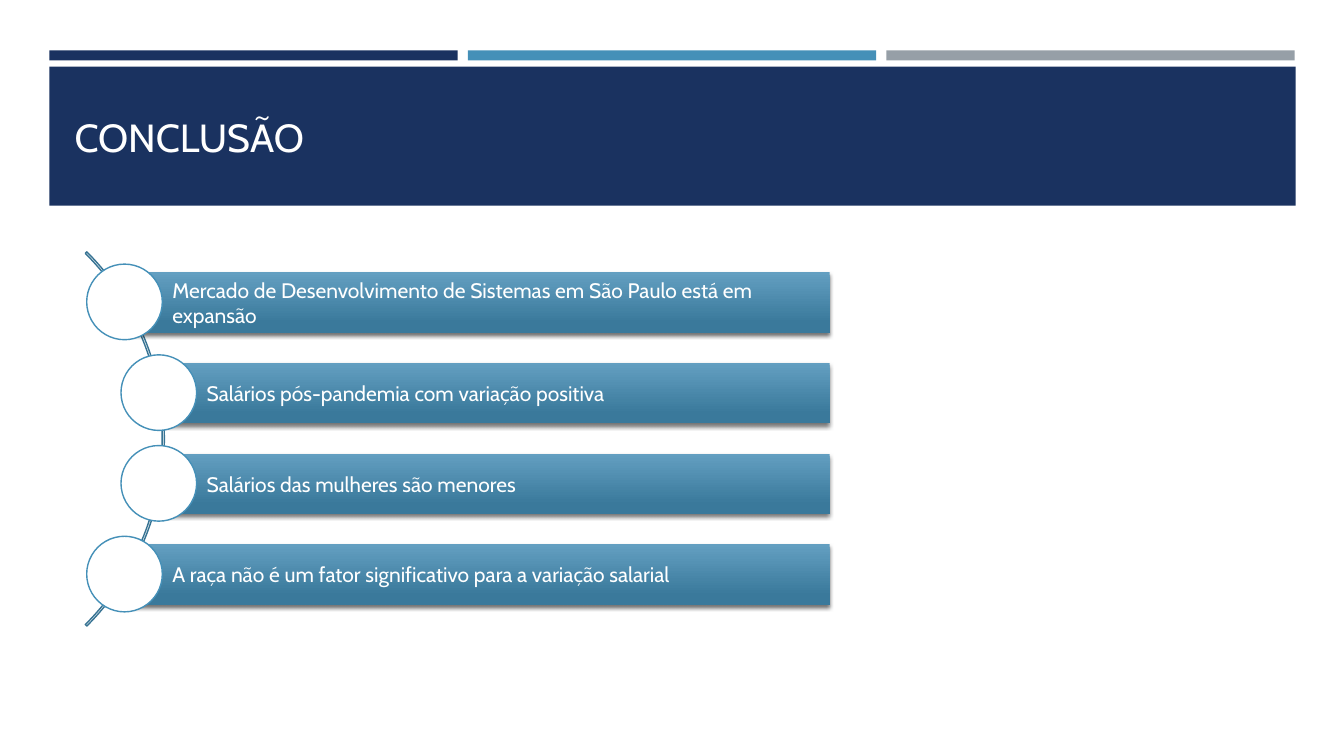
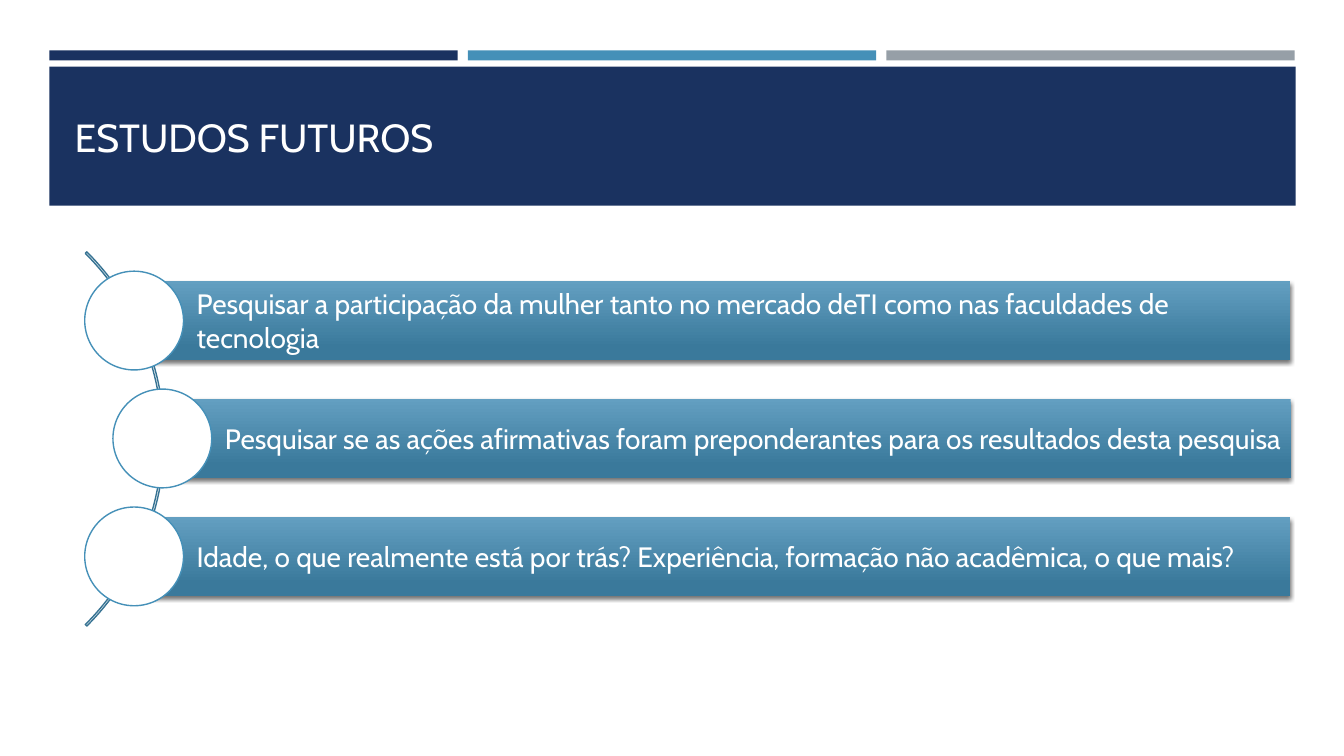
from lxml import etree
from pptx import Presentation, util as u
from pptx.dml.color import RGBColor
from pptx.enum import shapes, text
from pptx.oxml.ns import qn

PX = 9144  # 100 px to the inch
NAVY, BLUE, GREY, WHITE = "1A3260", "4590B8", "969FA7", "FFFFFF"
ARC_LINE, BAR_TOP, BAR_BOTTOM = "377393", "639FC1", "3A799B"
MIDDLE_Y = 435  # vertical centre of the arc and of each list

TITLE_FONT = {"name": "Cabin", "size": u.Pt(28), "bold": False}
TITLE_FRAME = {"vertical_anchor": text.MSO_ANCHOR.BOTTOM,
               "auto_size": text.MSO_AUTO_SIZE.NONE, "word_wrap": True}
SHADOW = {"blurRad": u.Pt(3), "dist": u.Pt(2), "dir": 90 * 60000,
          "algn": "ctr", "rotWithShape": 0}

SLIDES = [
    {"title": "CONCLUSÃO", "bar_height": 60, "right": 823, "size": 15, "margin": 4,
     "items": [
         (123, "Mercado de Desenvolvimento de Sistemas em São Paulo está em expansão"),
         (157, "Salários pós-pandemia com variação positiva"),
         (157, "Salários das mulheres são menores"),
         (123, "A raça não é um fator significativo para a variação salarial")]},
    {"title": "ESTUDOS FUTUROS", "bar_height": 78, "right": 1280, "size": 20, "margin": 6,
     "items": [
         (133, "Pesquisar a participação da mulher tanto no mercado deTI "
               "como nas faculdades de tecnologia"),
         (161, "Pesquisar se as ações afirmativas foram preponderantes "
               "para os resultados desta pesquisa"),
         (133, "Idade, o que realmente está por trás? Experiência, "
               "formação não acadêmica, o que mais?")]},
]


def color(hex_code):
    return RGBColor.from_string(hex_code)


def add_shape(page, kind, box, fill=None, line=None):
    """Add a shadowless preset shape; box is left, top, width, height in px."""
    shape = page.shapes.add_shape(kind, *(round(side) * PX for side in box))
    shape.shadow.inherit = False
    if fill:
        shape.fill.solid()
        shape.fill.fore_color.rgb = color(fill)
    else:
        shape.fill.background()
    if line:
        shape.line.color.rgb = color(line)
        shape.line.width = u.Pt(1)
    else:
        shape.line.fill.background()
    return shape


deck = Presentation()
deck.slide_width, deck.slide_height = 1333 * PX, 750 * PX
layout = deck.slide_layouts.get_by_name("Title Only")
pages = [deck.slides.add_slide(layout) for _ in SLIDES]
RECT, OVAL, ARC = (shapes.MSO_SHAPE.RECTANGLE, shapes.MSO_SHAPE.OVAL,
                   shapes.MSO_SHAPE.BLOCK_ARC)

# Bands and title position belong to the layout
bands = [((49 + 415 * i, 50, 405, 10), fill) for i, fill in enumerate((NAVY, BLUE, GREY))]
bands.append(((49, 66, 1236, 138), NAVY))
for position, (box, fill) in enumerate(bands, start=2):
    band = add_shape(pages[0], RECT, box, fill)
    layout.shapes.element.insert(position, band.element)
    band.element.nvSpPr.cNvPr.set("id", str(100 + position))

layout_title = layout.placeholders[0]
for side, length in {"left": 64, "top": 80, "width": 1206, "height": 84}.items():
    setattr(layout_title, side, length * PX)

for page, content in zip(pages, SLIDES):
    title = page.shapes.title
    title.text = content["title"]
    for name, value in TITLE_FRAME.items():
        setattr(title.text_frame, name, value)
    para = title.text_frame.paragraphs[0]
    para.alignment = text.PP_ALIGN.LEFT
    span = para.runs[0]
    for name, value in TITLE_FONT.items():
        setattr(span.font, name, value)
    span.font.color.rgb = color(WHITE)

    arc = add_shape(page, ARC, (-362, 173, 525, 525), line=ARC_LINE)
    for i, value in enumerate((189, 27, 0.004)):
        arc.adjustments[i] = value

    height, margin = content["bar_height"], content["margin"]
    pitch, diameter = 1.5 * height, 1.25 * height
    first_y = MIDDLE_Y - pitch * (len(content["items"]) - 1) / 2
    for i, (left, wording) in enumerate(content["items"]):
        center_y = first_y + i * pitch
        bar = add_shape(page, RECT,
                        (left, center_y - height / 2, content["right"] - left, height))
        bar.fill.gradient()
        bar.fill.gradient_angle = 270
        for stop, position, shade in zip(bar.fill.gradient_stops, (0, 0.84),
                                         (BAR_TOP, BAR_BOTTOM)):
            stop.position = position
            stop.color.rgb = color(shade)
        effects = bar.element.spPr.find(qn("a:effectLst"))
        shadow = etree.SubElement(effects, qn("a:outerShdw"),
                                  {name: str(value) for name, value in SHADOW.items()})
        black = etree.SubElement(shadow, qn("a:srgbClr"), val="000000")
        etree.SubElement(black, qn("a:alpha"), val="55000")

        frame = bar.text_frame
        frame_format = {"word_wrap": True, "vertical_anchor": text.MSO_ANCHOR.MIDDLE,
                        "margin_left": round(0.8 * height) * PX, "margin_right": margin * PX,
                        "margin_top": margin * PX, "margin_bottom": margin * PX}
        for name, value in frame_format.items():
            setattr(frame, name, value)
        para = frame.paragraphs[0]
        para.alignment = text.PP_ALIGN.LEFT
        span = para.add_run()
        span.text = wording
        for name, value in {"name": "Cabin", "size": u.Pt(content["size"])}.items():
            setattr(span.font, name, value)
        span.font.color.rgb = color(WHITE)

        add_shape(page, OVAL, (left - diameter / 2, center_y - diameter / 2,
                               diameter, diameter), WHITE, BLUE)

deck.save("out.pptx")
